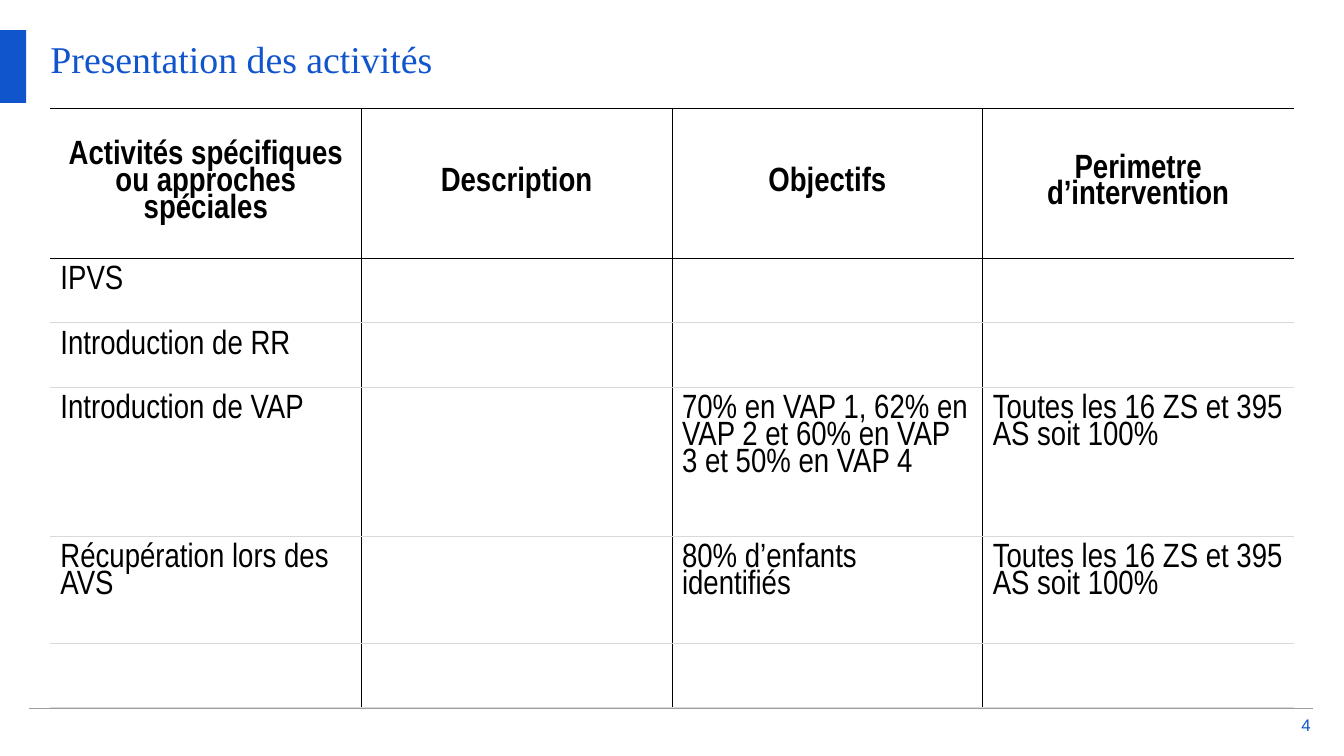
from dataclasses import dataclass

from lxml import etree
from pptx import Presentation
from pptx import util as u
from pptx.dml.color import RGBColor
from pptx.enum import shapes, text
from pptx.oxml.ns import qn


@dataclass(frozen=True)
class Theme:
    """Colours, fonts and type sizes of the deck."""
    blue: str = "1155CC"
    ink: str = "000000"
    rule: str = "9E9E9E"
    grid: str = "D9D9D9"
    title_font: str = "Times New Roman"
    table_font: str = "Arial Narrow"
    number_font: str = "Arial"
    title_size: float = 27
    table_size: float = 24
    number_size: float = 12
    border: float = 0.75
    leading: float = 0.85


T = Theme()
WIDTH, HEIGHT = 13.33, 7.5
MARGIN = 0.5
CONTENT = WIDTH - 2 * MARGIN
ROW_HEIGHTS = [1.48, 0.64, 0.64, 1.48, 1.06, 0.64]
ZONES = "Toutes les 16 ZS et 395 AS soit 100%"
ACTIVITIES = [
    ["Activités spécifiques ou approches spéciales", "Description",
     "Objectifs", "Perimetre d’intervention"],
    ["IPVS", "", "", ""],
    ["Introduction de RR", "", "", ""],
    ["Introduction de VAP", "",
     "70% en VAP 1, 62% en VAP 2 et 60% en VAP 3 et 50% en VAP 4", ZONES],
    ["Récupération lors des AVS", "", "80% d’enfants identifiés", ZONES],
    ["", "", "", ""],
]


def inches(box):
    """Turn a box in inches into lengths."""
    return [u.Inches(v) for v in box]


def write(tf, words, font, size, color, bold=False, align=text.PP_ALIGN.LEFT):
    """Set one paragraph of text and format its run."""
    tf.text = words
    p = tf.paragraphs[0]
    p.alignment = align
    for r in p.runs:
        r.font.name, r.font.size, r.font.bold = font, u.Pt(size), bold
        r.font.color.rgb = RGBColor.from_string(color)
    return p


def set_frame(tf, anchor):
    """Remove the insets of a text frame and fix its anchor and size."""
    tf.margin_left = tf.margin_right = tf.margin_top = tf.margin_bottom = 0
    tf.word_wrap, tf.auto_size = True, text.MSO_AUTO_SIZE.NONE
    tf.vertical_anchor = anchor


def set_border(cell, side, color):
    """Draw one side of a cell, or clear it when there is no colour."""
    ln = etree.SubElement(cell._tc.get_or_add_tcPr(), qn(f"a:ln{side}"),
                          w=str(u.Pt(T.border)))
    if color:
        fill = etree.SubElement(ln, qn("a:solidFill"))
        etree.SubElement(fill, qn("a:srgbClr"), val=color)
    else:
        etree.SubElement(ln, qn("a:noFill"))


def add_header(slide, box):
    """Place the title in the box and the accent bar at the slide edge."""
    left, top, width, height = box
    sp = slide.shapes.title
    sp.left, sp.top, sp.width, sp.height = inches(box)
    set_frame(sp.text_frame, text.MSO_ANCHOR.TOP)
    write(sp.text_frame, "Presentation des activités", T.title_font,
          T.title_size, T.blue)
    bar = slide.shapes.add_shape(shapes.MSO_SHAPE.RECTANGLE,
                                 *inches((0, top - 0.05, 0.26, 0.72)))
    bar.shadow.inherit = False
    bar.fill.solid()
    bar.fill.fore_color.rgb = RGBColor.from_string(T.blue)
    bar.line.fill.background()


def add_footer(slide, box, number):
    """Place the rule on top of the box and the page number at its right."""
    left, top, width, height = box
    rule = slide.shapes.add_connector(shapes.MSO_CONNECTOR.STRAIGHT,
                                      *inches((left, top, left + width, top)))
    rule.line.color.rgb = RGBColor.from_string(T.rule)
    rule.line.width = u.Pt(1)
    etree.SubElement(rule._element.spPr, qn("a:effectLst"))
    sp = slide.shapes.add_textbox(
        *inches((left + width - 0.27, top + 0.07, 0.25, height)))
    set_frame(sp.text_frame, text.MSO_ANCHOR.MIDDLE)
    write(sp.text_frame, number, T.number_font, T.number_size, T.blue,
          align=text.PP_ALIGN.RIGHT)


def format_cell(cell, words, is_head, is_first, is_last, below_head):
    """Write one table cell with its borders."""
    cell.margin_left = cell.margin_right = u.Inches(0.1)
    cell.margin_top = cell.margin_bottom = u.Inches(0.1)
    cell.vertical_anchor = (text.MSO_ANCHOR.MIDDLE if is_head
                            else text.MSO_ANCHOR.TOP)
    align = text.PP_ALIGN.CENTER if is_head else text.PP_ALIGN.LEFT
    p = write(cell.text_frame, words, T.table_font, T.table_size, T.ink,
              is_head, align)
    p.line_spacing = T.leading
    set_border(cell, "L", None if is_first else T.ink)
    set_border(cell, "R", None if is_last else T.ink)
    set_border(cell, "T", T.ink if is_head or below_head else T.grid)
    set_border(cell, "B", T.ink if is_head else T.grid)
    cell.fill.background()


def add_activities(slide, box, rows):
    """Fill the box with the table of activities in equal columns."""
    columns = len(rows[0])
    table = slide.shapes.add_table(len(rows), columns, *inches(box)).table
    table.first_row = table.horz_banding = False
    for column in table.columns:
        column.width = u.Inches(box[2] / columns)
    for i, row in enumerate(rows):
        table.rows[i].height = u.Inches(ROW_HEIGHTS[i])
        for j, words in enumerate(row):
            format_cell(table.cell(i, j), words, i == 0, j == 0,
                        j == columns - 1, i == 1)


def main():
    """Build the slide and save it."""
    prs = Presentation()
    prs.slide_width, prs.slide_height = inches((WIDTH, HEIGHT))
    slide = prs.slides.add_slide(prs.slide_layouts[5])
    add_header(slide, (MARGIN, 0.35, CONTENT, 0.8))
    add_footer(slide, (0.29, 7.03, 12.73, 0.18), "4")
    add_activities(slide, (MARGIN, 1.08, CONTENT, sum(ROW_HEIGHTS)),
                   ACTIVITIES)
    prs.save("out.pptx")


if __name__ == "__main__":
    main()
